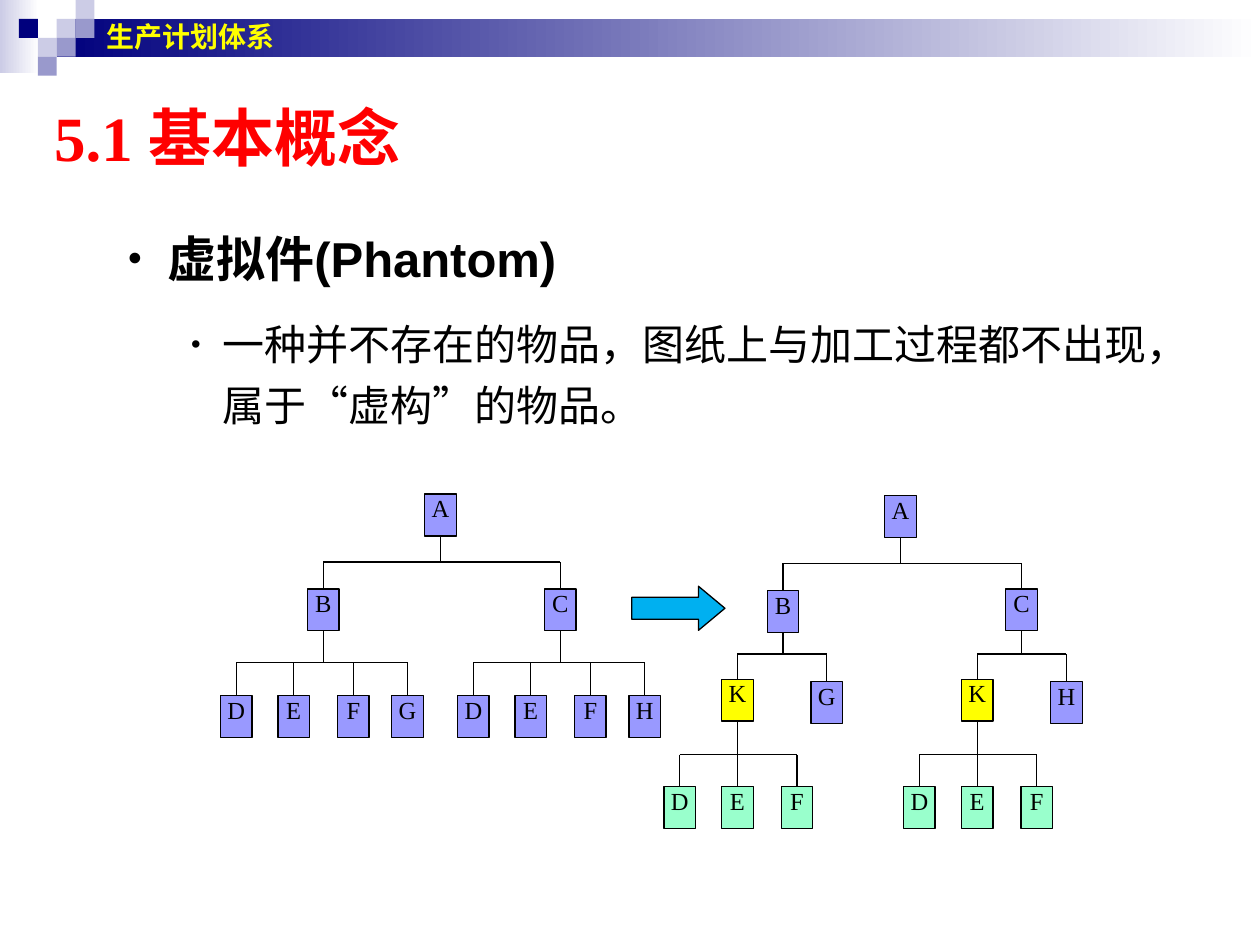
from lxml.etree import SubElement
from pptx import Presentation
from pptx.dml.color import RGBColor
from pptx.enum.shapes import MSO_CONNECTOR, MSO_SHAPE
from pptx.enum.text import MSO_ANCHOR, PP_ALIGN
from pptx.oxml.ns import qn
from pptx.util import Pt

COLORS = {
    "navy": "00007D", "pale": "CCCCE6", "mid": "9999CC", "white": "FFFFFF",
    "black": "000000", "yellow": "FFFF00", "red": "FF0000",
    "part": "9999FF", "phantom": "FFFF00", "moved": "99FFCC", "arrow": "00B0F0",
}
TILE = 10.8
BOX_W, BOX_H = 18, 24


def rgb(name):
    """Return the named colour."""
    return RGBColor.from_string(COLORS[name])


def add_block(s, kind, x, y, w, h, fill, line=None):
    """Add a flat preset shape; a pair of fill names makes a gradient."""
    sp = s.shapes.add_shape(kind, Pt(x), Pt(y), Pt(w), Pt(h))
    sp.shadow.inherit = False
    if isinstance(fill, tuple):
        sp.fill.gradient()
        sp.fill.gradient_angle = 0
        for stop, name, place in zip(sp.fill.gradient_stops, fill, (0, 1)):
            stop.color.rgb = rgb(name)
            stop.position = place
    else:
        sp.fill.solid()
        sp.fill.fore_color.rgb = rgb(fill)
    if line:
        sp.line.color.rgb = rgb(line)
        sp.line.width = Pt(0.75)
    else:
        sp.line.fill.background()
    return sp


def add_line(s, x1, y1, x2, y2):
    """Add a thin black straight line."""
    c = s.shapes.add_connector(MSO_CONNECTOR.STRAIGHT, Pt(x1), Pt(y1), Pt(x2), Pt(y2))
    c.line.color.rgb = rgb("black")
    c.line.width = Pt(0.75)
    SubElement(c._element.spPr, qn("a:effectLst"))


def format_runs(p, size, font, color, bold=False):
    """Give every run of a paragraph one look."""
    for r in p.runs:
        r.font.size = Pt(size)
        r.font.name = font
        r.font.bold = bold
        r.font.color.rgb = rgb(color)


def add_text(s, x, y, w, h, anchor):
    """Add a wrapping text box and return its text frame."""
    tf = s.shapes.add_textbox(Pt(x), Pt(y), Pt(w), Pt(h)).text_frame
    tf.word_wrap = True
    tf.vertical_anchor = anchor
    return tf


def add_heading(s, text, x, y, w, h, size, font, color):
    """Add a bold one-line heading."""
    tf = add_text(s, x, y, w, h, MSO_ANCHOR.MIDDLE)
    tf.text = text
    format_runs(tf.paragraphs[0], size, font, color, True)


def format_bullet(p, level, margin, indent, spacing, bullet_size):
    """Give a paragraph a hanging black bullet."""
    p.level = level
    p.line_spacing = spacing
    pPr = p._p.get_or_add_pPr()
    pPr.set("marL", str(Pt(margin)))
    pPr.set("indent", str(Pt(-indent)))
    color = SubElement(pPr, qn("a:buClr"))
    SubElement(color, qn("a:srgbClr"), val=COLORS["black"])
    SubElement(pPr, qn("a:buSzPct"), val=str(bullet_size * 1000))
    SubElement(pPr, qn("a:buFont"), typeface="Arial")
    SubElement(pPr, qn("a:buChar"), char="•")


def add_banner(s):
    """Draw the gradient banner with its mosaic of tiles."""
    add_block(s, MSO_SHAPE.RECTANGLE, 0, 0, 22.3, 41.8, ("pale", "white"))
    add_block(s, MSO_SHAPE.RECTANGLE, 32.4, TILE, 687.6, 21.6, ("navy", "white"))
    tiles = [(3, 1, "pale"), (4, 0, "pale"), (4, 1, "mid"), (2, 2, "pale"),
             (1, 1, "navy"), (3, 2, "mid"), (2, 3, "mid")]
    for col, row, fill in tiles:
        add_block(s, MSO_SHAPE.RECTANGLE, col * TILE, row * TILE, TILE, TILE, fill)


def add_body(s):
    """Add the definition with its two bullet levels."""
    tf = add_text(s, 30.2, 113.8, 648, 365.8, MSO_ANCHOR.TOP)
    tf.text = "虚拟件(Phantom)"
    term = tf.paragraphs[0]
    format_bullet(term, 1, 58.5, 22.5, 1.4, 80)
    format_runs(term, 28, "Arial", "black", True)
    meaning = tf.add_paragraph()
    meaning.text = "一种并不存在的物品，图纸上与加工过程都不出现，属于“虚构”的物品。"
    format_bullet(meaning, 2, 90, 18, 1.2, 65)
    meaning.space_before = Pt(12)
    format_runs(meaning, 24, "Arial", "black")


def add_part(s, letter, x, y, fill="part"):
    """Add a lettered part box centred on x."""
    sp = add_block(s, MSO_SHAPE.RECTANGLE, x - BOX_W / 2, y, BOX_W, BOX_H, fill, "black")
    tf = sp.text_frame
    tf.margin_left = tf.margin_right = Pt(1.44)
    tf.margin_top = tf.margin_bottom = Pt(0.72)
    tf.vertical_anchor = MSO_ANCHOR.TOP
    tf.text = letter
    p = tf.paragraphs[0]
    p.alignment = PP_ALIGN.CENTER
    p.line_spacing = 0.96
    format_runs(p, 14, "Times New Roman", "black")


def add_branch(s, x, y, bar, children):
    """Join a parent at x, y to its children (letter, x, y, fill) and draw them."""
    centers = [child[1] for child in children]
    add_line(s, x, y + BOX_H, x, bar)
    add_line(s, min(centers), bar, max(centers), bar)
    for letter, cx, cy, fill in children:
        add_line(s, cx, bar, cx, cy)
        add_part(s, letter, cx, cy, fill)


def add_plain_tree(s):
    """Draw the product tree without phantom parts."""
    add_part(s, "A", 251.7, 282.3)
    add_branch(s, 251.7, 282.3, 321.2,
               [("B", 184.7, 336.5, "part"), ("C", 320.2, 336.5, "part")])
    for x, letters in ((184.7, "DEFG"), (320.2, "DEFH")):
        leaves = [(letter, x + dx, 397.5, "part")
                  for letter, dx in zip(letters, (-49.7, -16.9, 17.2, 48.2))]
        add_branch(s, x, 336.5, 378.7, leaves)


def add_phantom_tree(s):
    """Draw the product tree with phantom part K."""
    add_part(s, "A", 514.6, 283.2)
    add_branch(s, 514.6, 283.2, 321.9,
               [("B", 447.4, 337.5, "part"), ("C", 583.7, 336.5, "part")])
    for x, y, k, last in ((447.4, 337.5, 421.4, "G"), (583.7, 336.5, 558.4, "H")):
        add_branch(s, x, y, 373.7,
                   [("K", k, 388.1, "phantom"), (last, k + 51, 389.5, "part")])
        moved = [(letter, k + dx, 449.3, "moved")
                 for letter, dx in zip("DEF", (-33, 0, 34))]
        add_branch(s, k, 388.1, 431.3, moved)


def main():
    """Build the slide and save it."""
    prs = Presentation()
    prs.slide_width, prs.slide_height = Pt(720), Pt(540)
    s = prs.slides.add_slide(prs.slide_layouts[6])
    add_banner(s)
    add_body(s)
    add_heading(s, "生产计划体系", 54, 0, 635.8, 41.8, 16, "Arial", "yellow")
    add_heading(s, "5.1 基本概念", 23.8, 54, 648, 48.2, 36, "Times New Roman", "red")
    add_plain_tree(s)
    add_phantom_tree(s)
    arrow = add_block(s, MSO_SHAPE.RIGHT_ARROW, 361, 335, 53.3, 25.2, "arrow", "black")
    arrow.adjustments[1] = 0.6
    prs.save("out.pptx")


if __name__ == "__main__":
    main()
